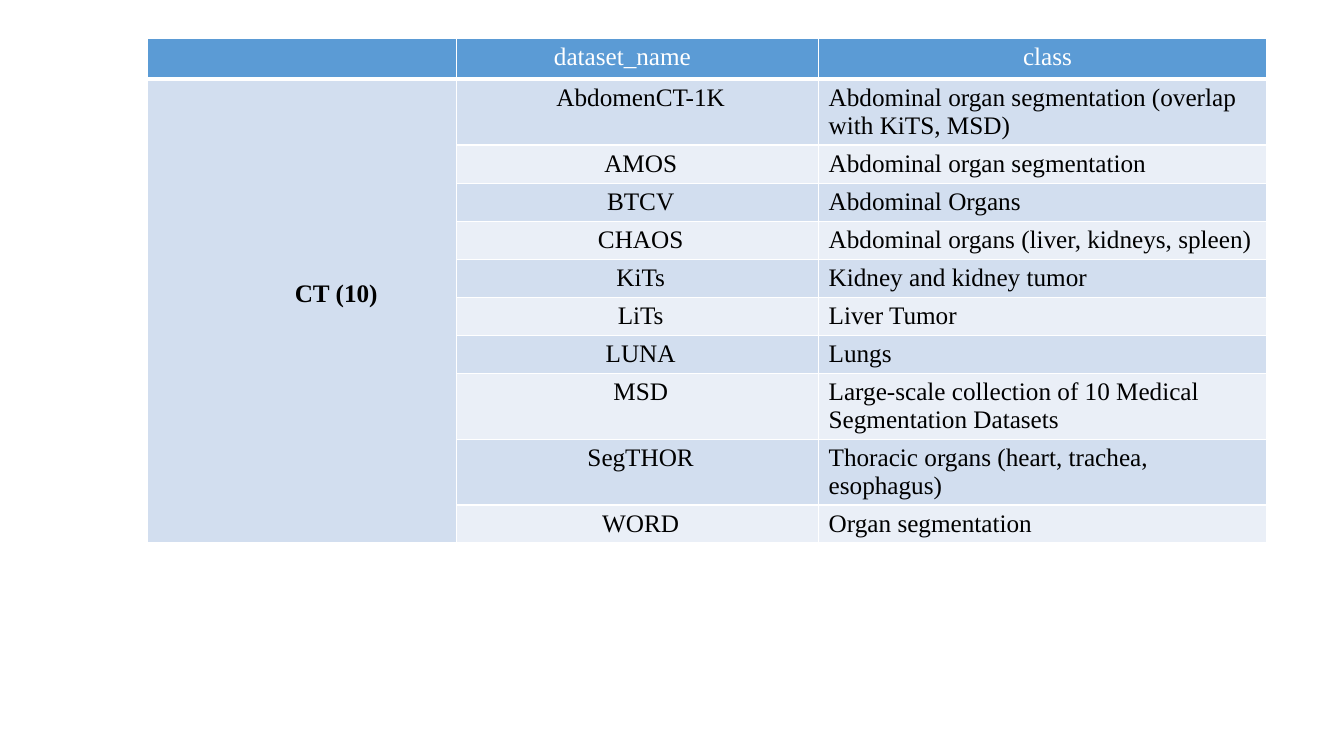
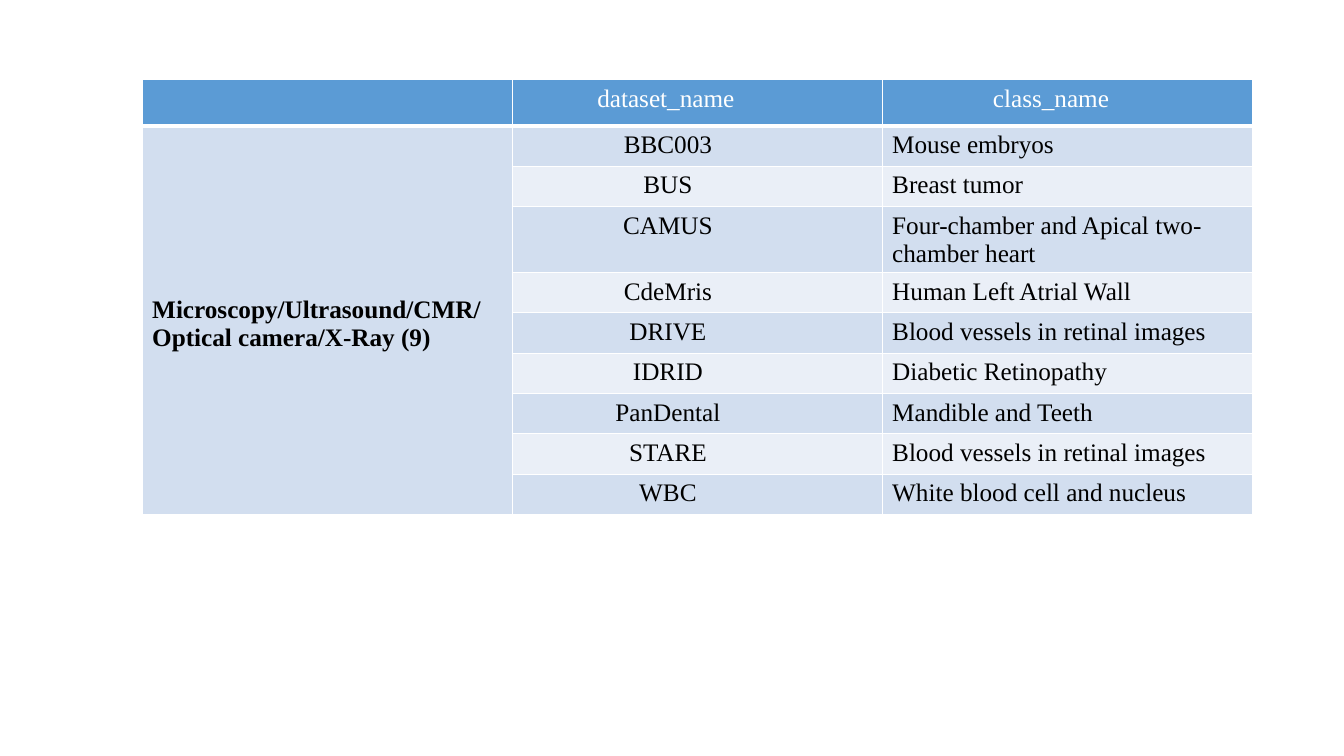
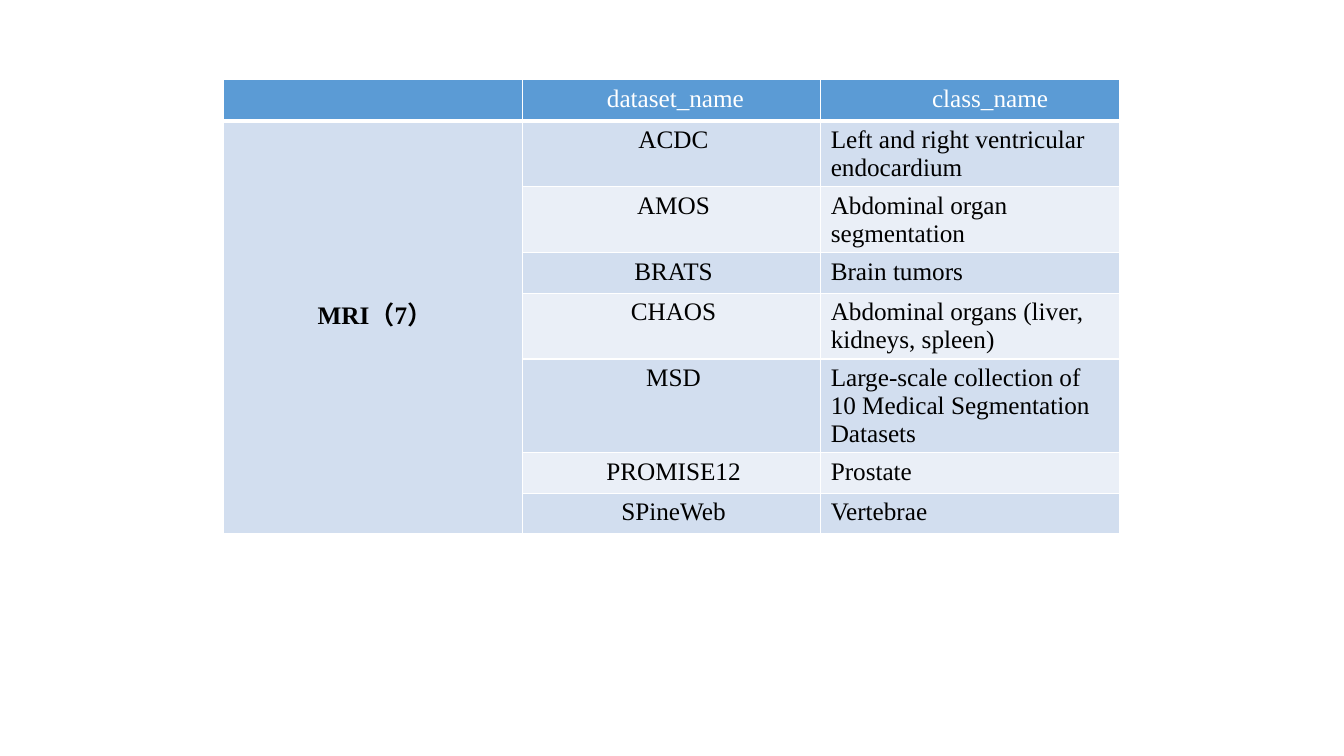
from pptx import Presentation
from pptx.dml.color import RGBColor
from pptx.enum.text import MSO_ANCHOR, PP_ALIGN
from pptx.oxml import parse_xml
from pptx.oxml.ns import nsdecls
from pptx.util import Inches, Pt

COLORS = {
    "header": "5B9BD5",
    "odd_row": "D2DEEF",
    "even_row": "EAEFF7",
    "border": "FFFFFF",
    "header_text": "FFFFFF",
    "body_text": "000000",
}


class DatasetDeck:
    font_name = "Times New Roman"
    font_size = Pt(18)
    side_margin = 0.1
    edge_margin = 0.05

    def __init__(self):
        self.presentation = Presentation()
        self.presentation.slide_width = Inches(13.33)
        self.presentation.slide_height = Inches(7.5)
        self.slide = None

    def new_slide(self):
        blank_layout = self.presentation.slide_layouts[6]
        self.slide = self.presentation.slides.add_slide(blank_layout)

    def paint(self, cell, color, bottom_width=1):
        properties = cell._tc.get_or_add_tcPr()
        for side, width in (("L", 1), ("R", 1), ("T", 1), ("B", bottom_width)):
            properties.append(parse_xml(
                f'<a:ln{side} {nsdecls("a")} w="{Pt(width)}"><a:solidFill>'
                f'<a:srgbClr val="{COLORS["border"]}"/></a:solidFill></a:ln{side}>'))
        cell.fill.solid()
        cell.fill.fore_color.rgb = RGBColor.from_string(COLORS[color])

    def label(self, cell, text, color="body_text", align=PP_ALIGN.CENTER,
              right=0, down=0, bold=False):
        cell.text = text
        cell.margin_left = Inches(self.side_margin + 2 * max(right, 0))
        cell.margin_right = Inches(self.side_margin + 2 * max(-right, 0))
        cell.margin_top = Inches(self.edge_margin + 2 * max(down, 0))
        cell.margin_bottom = Inches(self.edge_margin + 2 * max(-down, 0))
        paragraph = cell.text_frame.paragraphs[0]
        paragraph.alignment = align
        paragraph.font.name = self.font_name
        paragraph.font.size = self.font_size
        paragraph.font.bold = bold
        paragraph.font.color.rgb = RGBColor.from_string(COLORS[color])

    def dataset_table(self, left, top, widths, header_height, row_height,
                      headings, modality, modality_style, name_shift, datasets):
        row_count = len(datasets) + 1
        table = self.slide.shapes.add_table(
            row_count, len(widths), Inches(left), Inches(top),
            Inches(sum(widths)),
            Inches(header_height + row_height * len(datasets))).table
        for column, width in zip(table.columns, widths):
            column.width = Inches(width)
        for index, row in enumerate(table.rows):
            row.height = Inches(row_height if index else header_height)
            fill = ("even_row", "odd_row")[index % 2] if index else "header"
            for position, cell in enumerate(row.cells):
                merged = index and position == 0
                self.paint(cell, "odd_row" if merged else fill, 1 if index else 3)

        for column, (heading, shift) in enumerate(headings, 1):
            self.label(table.cell(0, column), heading, "header_text", right=shift)
        for row, (name, target) in enumerate(datasets, 1):
            self.label(table.cell(row, 1), name, right=name_shift)
            self.label(table.cell(row, 2), target, align=PP_ALIGN.LEFT)

        modality_cell = table.cell(1, 0)
        modality_cell.merge(table.cell(row_count - 1, 0))
        self.label(modality_cell, modality, bold=True, **modality_style)
        modality_cell.vertical_anchor = MSO_ANCHOR.MIDDLE

    def save(self):
        self.presentation.save("out.pptx")


TABLES = [
    dict(
        left=1.46, top=0.38, widths=(3.07, 3.59, 4.44),
        header_height=0.38, row_height=0.37,
        headings=[("dataset_name", -0.15), ("class", 0.05)],
        modality="CT (10)", modality_style=dict(right=0.34, down=-0.17),
        name_shift=0.03,
        datasets=[
            ("AbdomenCT-1K", "Abdominal organ segmentation (overlap with KiTS, MSD)"),
            ("AMOS", "Abdominal organ segmentation"),
            ("BTCV", "Abdominal Organs"),
            ("CHAOS", "Abdominal organs (liver, kidneys, spleen)"),
            ("KiTs", "Kidney and kidney tumor"),
            ("LiTs", "Liver Tumor"),
            ("LUNA", "Lungs"),
            ("MSD", "Large-scale collection of 10 Medical Segmentation Datasets"),
            ("SegTHOR", "Thoracic organs (heart, trachea, esophagus)"),
            ("WORD", "Organ segmentation"),
        ],
    ),
    dict(
        left=1.41, top=0.79, widths=(3.67,) * 3,
        header_height=0.46, row_height=0.4,
        headings=[("dataset_name", -0.31), ("class_name", -0.16)],
        modality="Microscopy/Ultrasound/CMR/Optical camera/X-Ray (9)",
        modality_style=dict(align=PP_ALIGN.LEFT, down=0.04),
        name_shift=-0.29,
        datasets=[
            ("BBC003", "Mouse embryos"),
            ("BUS", "Breast tumor"),
            ("CAMUS", "Four-chamber and Apical two-chamber heart"),
            ("CdeMris", "Human Left Atrial Wall"),
            ("DRIVE", "Blood vessels in retinal images"),
            ("IDRID", "Diabetic Retinopathy"),
            ("PanDental", "Mandible and Teeth"),
            ("STARE", "Blood vessels in retinal images"),
            ("WBC", "White blood cell and nucleus"),
        ],
    ),
    dict(
        left=2.22, top=0.79, widths=(2.96,) * 3,
        header_height=0.41, row_height=0.4,
        headings=[("dataset_name", 0.04), ("class_name", 0.2)],
        modality="MRI（7）", modality_style=dict(right=0.02, down=-0.14),
        name_shift=0.02,
        datasets=[
            ("ACDC", "Left and right ventricular endocardium"),
            ("AMOS", "Abdominal organ segmentation"),
            ("BRATS", "Brain tumors"),
            ("CHAOS", "Abdominal organs (liver, kidneys, spleen)"),
            ("MSD", "Large-scale collection of 10 Medical Segmentation Datasets"),
            ("PROMISE12", "Prostate"),
            ("SPineWeb", "Vertebrae"),
        ],
    ),
]


def main():
    deck = DatasetDeck()
    for table in TABLES:
        deck.new_slide()
        deck.dataset_table(**table)
    deck.save()


if __name__ == "__main__":
    main()
